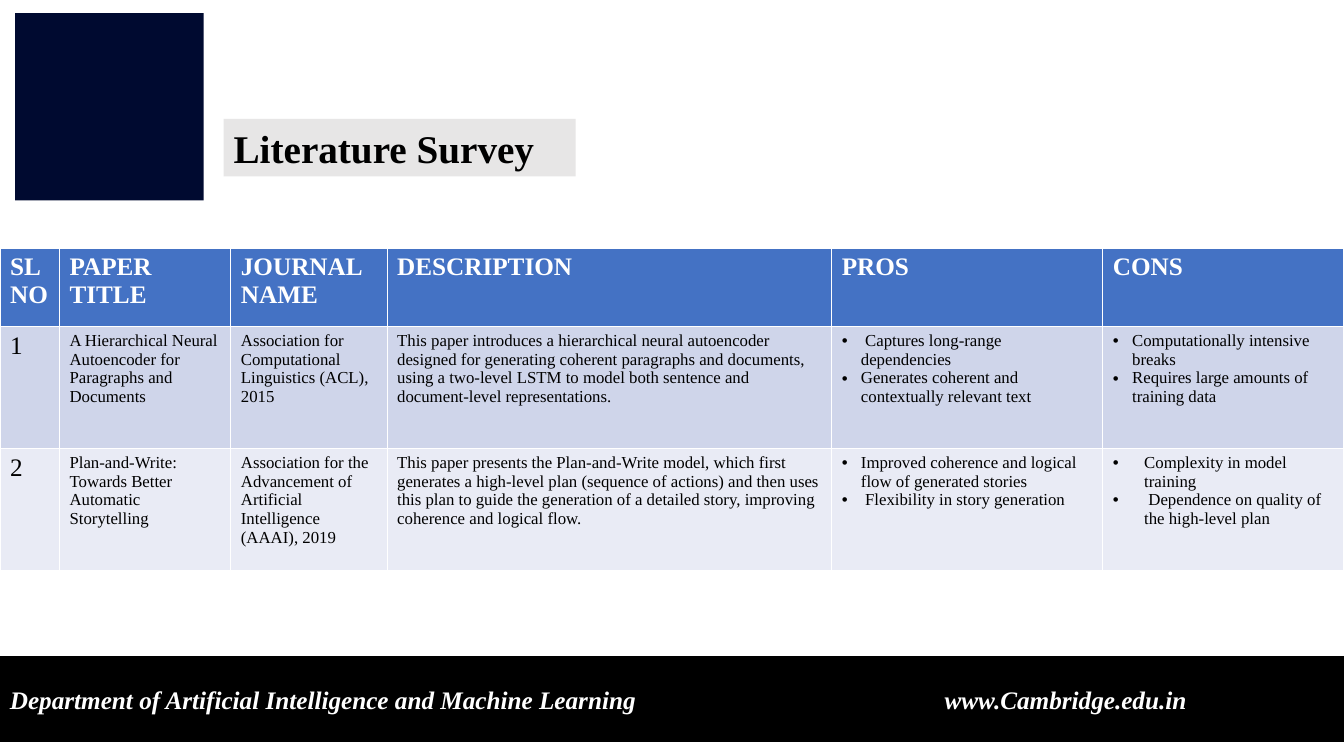
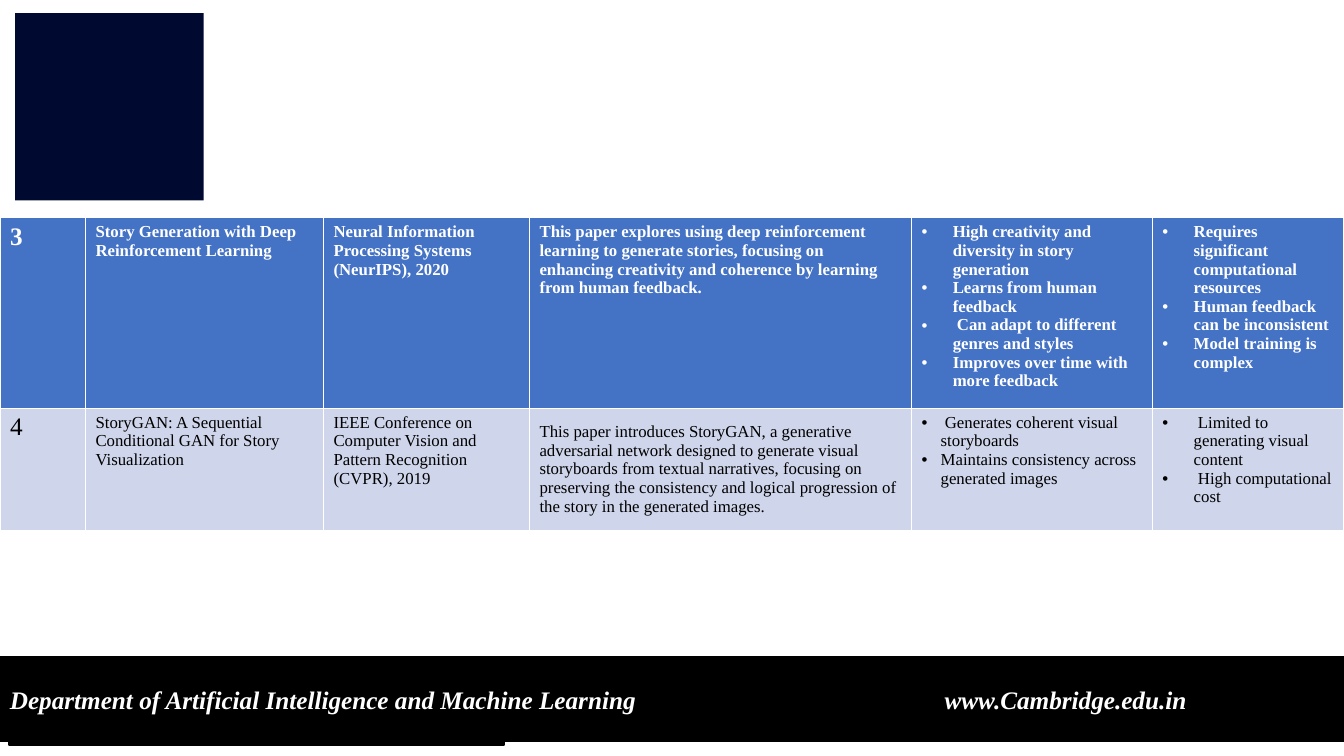
"""Build two literature survey slides with a shared logo block and footer."""
from pptx import Presentation
from pptx.dml.color import RGBColor as RGB
from pptx.enum.shapes import MSO_SHAPE as Shape
from pptx.enum.text import MSO_ANCHOR as Anchor, PP_ALIGN as Align
from pptx.oxml.ns import qn
from pptx.util import Inches, Pt
from lxml.etree import SubElement as Sub

HUE = {"navy": "000A30", "black": "000000", "white": "FFFFFF", "grey": "E7E6E6",
       "head": "4472C4", "dark": "CFD5EA", "light": "E9EBF5"}
FACE = "Times New Roman"
FOOT = "Department of Artificial Intelligence and Machine Learning\twww.Cambridge.edu.in"
NEAR, FAR = Inches(0.19), Inches(0.31)

deck = Presentation()
deck.slide_width, deck.slide_height = Inches(13.33), Inches(7.5)
COL, ROW = deck.slide_width / 100, deck.slide_height / 100

PAGES = [
    {
        "title": "Literature Survey",
        "top": 32.8,
        "cols": [4.43, 12.75, 11.63, 33.08, 20.18, 17.93],
        "rows": [10.4, 16.13, 16.13],
        "mid": [],
        "cells": [
            ["SL NO", "PAPER TITLE", "JOURNAL NAME", "DESCRIPTION", "PROS", "CONS"],
            ["1",
             "A Hierarchical Neural Autoencoder for Paragraphs and Documents",
             "Association for Computational Linguistics (ACL), 2015",
             "This paper introduces a hierarchical neural autoencoder designed for "
             "generating coherent paragraphs and documents, using a two-level LSTM to "
             "model both sentence and document-level representations.",
             (NEAR, [" Captures long-range dependencies",
                     "Generates coherent and contextually relevant text"]),
             (NEAR, ["Computationally intensive breaks",
                     "Requires large amounts of training data"])],
            ["2",
             "Plan-and-Write: Towards Better Automatic Storytelling",
             "Association for the Advancement of Artificial Intelligence (AAAI), 2019",
             "This paper presents the Plan-and-Write model, which first generates a "
             "high-level plan (sequence of actions) and then uses this plan to guide the "
             "generation of a detailed story, improving coherence and logical flow.",
             (NEAR, ["Improved coherence and logical flow of generated stories",
                     " Flexibility in story generation"]),
             (FAR, ["Complexity in model training",
                    " Dependence on quality of the high-level plan"])],
        ],
    },
    {
        "title": None,
        "top": 28.8,
        "cols": [6.36, 17.71, 15.33, 28.42, 17.93, 14.25],
        "rows": [25.2, 16.13],
        "mid": [(1, 3)],
        "cells": [
            ["3",
             "Story Generation with Deep Reinforcement Learning",
             "Neural Information Processing Systems (NeurIPS), 2020",
             "This paper explores using deep reinforcement learning to generate stories, "
             "focusing on enhancing creativity and coherence by learning from human "
             "feedback.",
             (FAR, ["High creativity and diversity in story generation",
                    "Learns from human feedback",
                    " Can adapt to different genres and styles",
                    "Improves over time with more feedback"]),
             (FAR, ["Requires significant computational resources",
                    "Human feedback can be inconsistent",
                    "Model training is complex"])],
            ["4",
             "StoryGAN: A Sequential Conditional GAN for Story Visualization",
             "IEEE Conference on Computer Vision and Pattern Recognition (CVPR), 2019",
             "This paper introduces StoryGAN, a generative adversarial network designed to "
             "generate visual storyboards from textual narratives, focusing on preserving "
             "the consistency and logical progression of the story in the generated images.",
             (NEAR, [" Generates coherent visual storyboards",
                     "Maintains consistency across generated images"]),
             (FAR, [" Limited to generating visual content",
                    " High computational cost"])],
        ],
    },
]


def block(slide, x, y, w, h, fill, edge=None):
    box = slide.shapes.add_shape(Shape.RECTANGLE, int(x * COL), int(y * ROW),
                                 int(w * COL), int(h * ROW))
    box.shadow.inherit = False
    box.fill.solid()
    box.fill.fore_color.rgb = RGB.from_string(HUE[fill])
    if edge:
        box.line.color.rgb = RGB.from_string(HUE[edge])
        box.line.width = Pt(1)
    else:
        box.line.fill.background()
    return box


def write(para, text, size, hue, bold=True, slant=False):
    para.text = text
    para.alignment = Align.LEFT
    font = para.font
    font.name, font.size, font.bold, font.italic = FACE, Pt(size), bold, slant
    font.color.rgb = RGB.from_string(HUE[hue])


for page in PAGES:
    slide = deck.slides.add_slide(deck.slide_layouts[6])
    block(slide, 1.13, 1.73, 14.03, 24.8, "navy")
    block(slide, 0.53, 87.33, 99.47, 10.8, "navy")
    if page["title"]:
        label = block(slide, 16.65, 15.73, 26.18, 7.6, "grey").text_frame
        label.vertical_anchor = Anchor.TOP
        write(label.paragraphs[0], page["title"], 28, "black")
    else:
        block(slide, 0.68, 87.33, 36.83, 11.2, "black", "black")

    foot = block(slide, 0, 86.93, 100, 11.07, "black", "black").text_frame
    foot.vertical_anchor = Anchor.MIDDLE
    para = foot.paragraphs[0]
    tabs = Sub(para._p.get_or_add_pPr(), qn("a:tabLst"))
    Sub(tabs, qn("a:tab"), pos=str(Inches(9.27)), algn="l")
    write(para, FOOT, 18, "white", slant=True)

    cols, rows = page["cols"], page["rows"]
    grid = slide.shapes.add_table(len(rows), len(cols), 0, int(page["top"] * ROW),
                                  int(sum(cols) * COL), int(sum(rows) * ROW)).table
    for col, wide in zip(grid.columns, cols):
        col.width = int(wide * COL)
    for row, high in zip(grid.rows, rows):
        row.height = int(high * ROW)

    for r, line in enumerate(page["cells"]):
        head = r == 0
        tint = "head" if head else ("light", "dark")[r % 2]
        for c, item in enumerate(line):
            cell = grid.cell(r, c)
            cell.fill.solid()
            cell.fill.fore_color.rgb = RGB.from_string(HUE[tint])
            if (r, c) in page["mid"]:
                cell.vertical_anchor = Anchor.MIDDLE
            size = 18 if c == 0 or (head and page["title"]) else 12
            dent, texts = item if isinstance(item, tuple) else (0, [item])
            frame = cell.text_frame
            for n, text in enumerate(texts):
                para = frame.add_paragraph() if n else frame.paragraphs[0]
                if dent:
                    prop = para._p.get_or_add_pPr()
                    prop.set("marL", str(dent))
                    prop.set("indent", str(-dent))
                    Sub(prop, qn("a:buFont"), typeface="Arial")
                    Sub(prop, qn("a:buChar"), char="•")
                write(para, text, size, "white" if head else "black", head)

deck.save("out.pptx")
